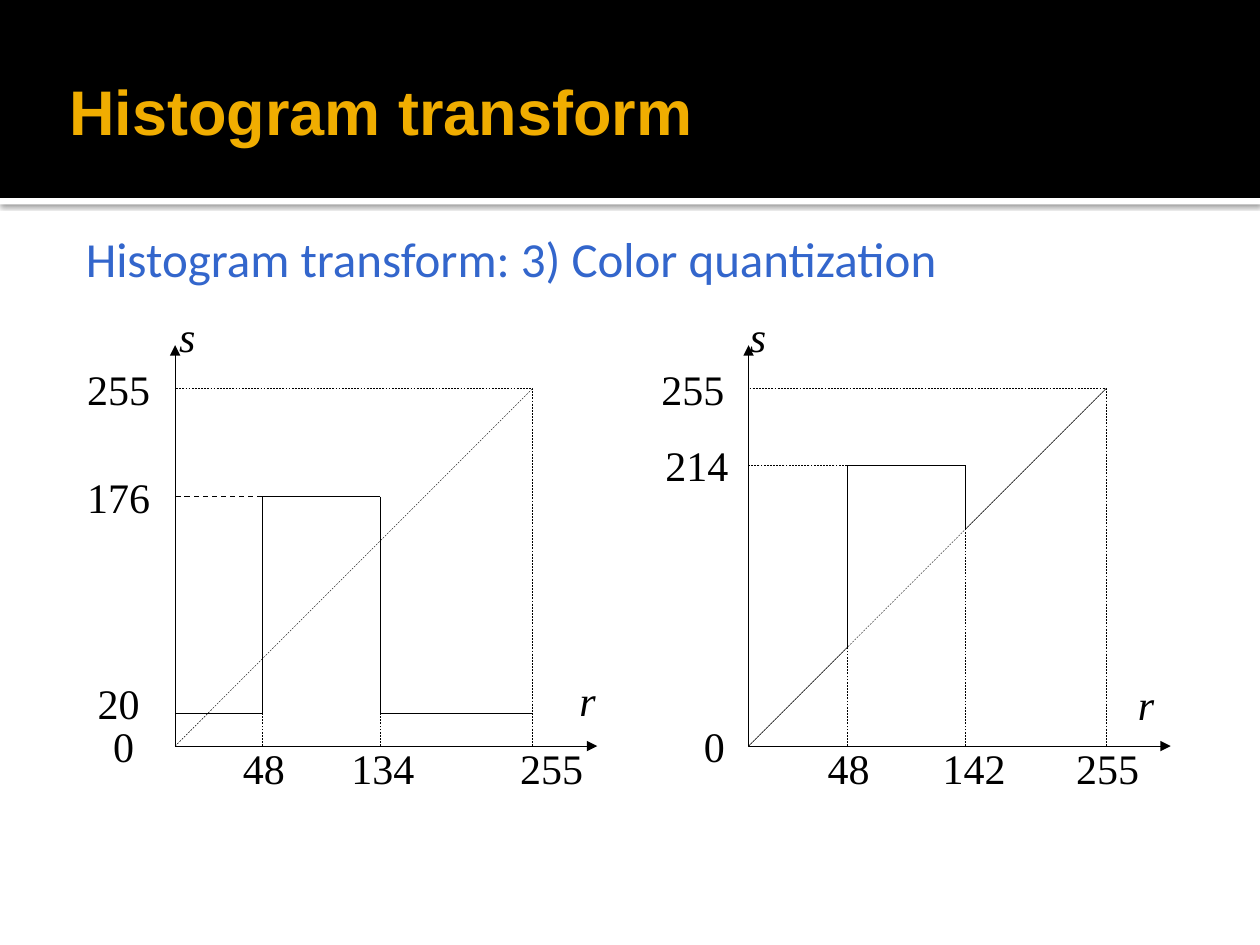
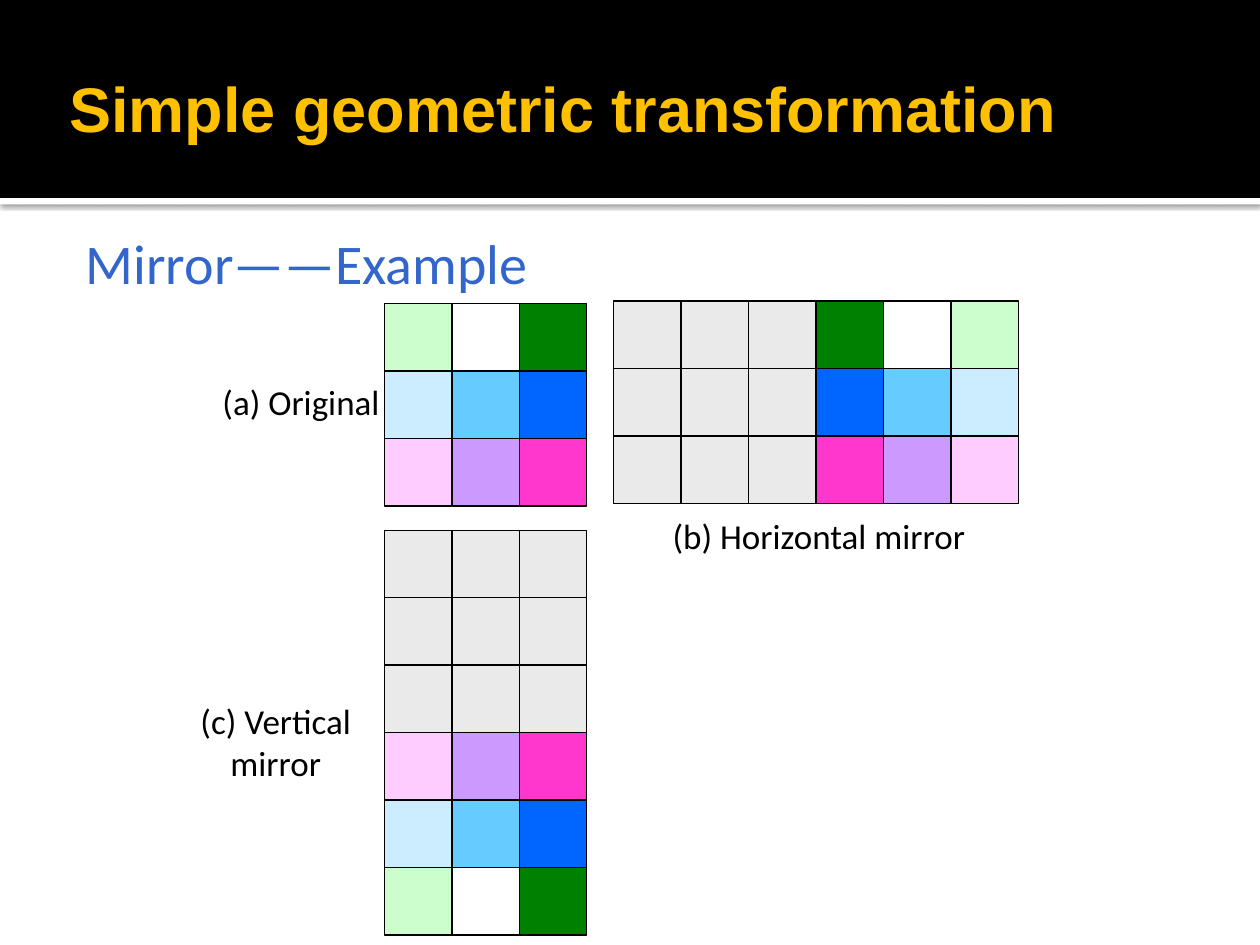
import pptx
import pptx.dml.color
import pptx.enum.dml
import pptx.enum.shapes
import pptx.enum.text
import pptx.oxml
import pptx.oxml.ns
import pptx.util

Cm = pptx.util.Cm
Pt = pptx.util.Pt
ALIGN = pptx.enum.text.PP_ALIGN
ANCHOR = pptx.enum.text.MSO_ANCHOR
RECT = pptx.enum.shapes.MSO_SHAPE.RECTANGLE
NS = pptx.oxml.ns.nsdecls("a")

HUES = {
    "black": "000000", "white": "FFFFFF", "gold": "F0AD00", "amber": "FFC000",
    "head": "3366CC", "grey": "EAEAEA", "mint": "CCFDCC", "green": "008000",
    "pale": "CCECFF", "sky": "66CCFF", "blue": "0066FF",
    "rose": "FFCCFF", "mauve": "CC99FF", "pink": "FF37CC",
}
FONTS = {
    "title": {"name": "Arial", "size": Pt(36), "bold": True},
    "head": {"name": "Calibri", "size": Pt(28)},
    "large": {"name": "Calibri", "size": Pt(32)},
    "note": {"name": "Calibri", "size": Pt(20)},
    "tick": {"name": "Times New Roman", "size": Pt(24)},
    "axis": {"name": "Times New Roman", "size": Pt(24), "italic": True},
}
SHADOW = (f'<a:outerShdw {NS} blurRad="38100" dist="10160" dir="5400000">'
          '<a:srgbClr val="000000"><a:alpha val="60000"/></a:srgbClr></a:outerShdw>')
SIDE = 7.21
BASE = 15.04
CELL = 1.36
TILES = [["mint", "white", "green"], ["pale", "sky", "blue"], ["rose", "mauve", "pink"]]
BLANK = ["grey"] * 3


def tint(name):
    """Return the named colour."""
    return pptx.dml.color.RGBColor.from_string(HUES[name])


class Deck:
    """Hold the style and the current slide."""

    def __init__(self):
        """Start an empty deck of 10 by 7.5 inches."""
        self.show = pptx.Presentation()
        self.show.slide_width, self.show.slide_height = Cm(25.4), Cm(19.05)
        self.slide = None

    def page(self, title, hue, top, height):
        """Add a slide with the shared band and a title."""
        self.slide = self.show.slides.add_slide(self.show.slide_layouts[5])
        name = self.slide.shapes.title
        rule = self.rect(0, 3.99, 25.4, 0.13, "white", None)
        rule.element.spPr.find(pptx.oxml.ns.qn("a:effectLst")).append(
            pptx.oxml.parse_xml(SHADOW))
        band = self.rect(0, 0, 25.4, 3.99, "black", None)
        for part in (rule, band):
            name.element.addprevious(part.element)
        self.place(name, 1.27, top, 22.86, height)
        self.style(name, title, "title", hue, ALIGN.LEFT, ANCHOR.MIDDLE)

    def place(self, shape, left, top, width, height):
        """Set the box of a shape."""
        box = {"left": left, "top": top, "width": width, "height": height}
        for key, size in box.items():
            setattr(shape, key, Cm(size))

    def style(self, shape, text, font, hue, align, anchor, inset=0.13):
        """Fill a shape with one formatted paragraph."""
        frame = shape.text_frame
        form = {"text": text, "word_wrap": True, "vertical_anchor": anchor,
                "auto_size": pptx.enum.text.MSO_AUTO_SIZE.NONE,
                "margin_left": Cm(inset), "margin_right": Cm(0.13),
                "margin_top": Cm(0.13), "margin_bottom": Cm(0.13)}
        for key, value in form.items():
            setattr(frame, key, value)
        line = frame.paragraphs[0]
        line.alignment = align
        for key, value in FONTS[font].items():
            setattr(line.font, key, value)
        line.font.color.rgb = tint(hue)

    def head(self, text, font):
        """Add the heading under the band."""
        box = self.slide.shapes.add_textbox(Cm(1.27), Cm(4.48), Cm(23), Cm(1.7))
        self.style(box, text, font, "head", ALIGN.LEFT, ANCHOR.TOP, 0.46)

    def label(self, text, x, y, width=1.83, font="tick", align=ALIGN.CENTER, height=1.1):
        """Add a text centred on a point."""
        box = self.slide.shapes.add_textbox(
            Cm(x - width / 2), Cm(y - height / 2), Cm(width), Cm(height))
        self.style(box, text, font, "black", align, ANCHOR.MIDDLE)

    def rect(self, left, top, width, height, fill, line=0.75, dash=False):
        """Add a rectangle, open if it has no fill."""
        shape = self.slide.shapes.add_shape(
            RECT, Cm(left), Cm(top), Cm(width), Cm(height))
        shape.shadow.inherit = False
        if fill:
            shape.fill.solid()
            shape.fill.fore_color.rgb = tint(fill)
        else:
            shape.fill.background()
        if line:
            self.pen(shape.line, line, dash)
        else:
            shape.line.fill.background()
        return shape

    def pen(self, line, width, dash):
        """Format a black line."""
        line.color.rgb = tint("black")
        line.width = Pt(width)
        if dash:
            line.dash_style = pptx.enum.dml.MSO_LINE.DASH

    def line(self, start, end, dash=False, arrow=False, width=0.25):
        """Add a straight line between two points."""
        link = self.slide.shapes.add_connector(
            pptx.enum.shapes.MSO_CONNECTOR.STRAIGHT, *map(Cm, (*start, *end)))
        self.pen(link.line, width, dash)
        form = link.element.spPr
        if arrow:
            form.find(pptx.oxml.ns.qn("a:ln")).append(
                pptx.oxml.parse_xml(f'<a:tailEnd {NS} type="triangle"/>'))
        form.append(pptx.oxml.parse_xml(f"<a:effectLst {NS}/>"))

    def plot(self, left, solid, dashed, ticks, names):
        """Draw a curve in axes, measured from the origin upwards."""
        def at(x, y):
            """Turn plot units into a slide point."""
            return left + x, BASE - y

        self.rect(*at(0, SIDE), SIDE, SIDE, None, 0.25, True)
        for end in ((8.51, 0), (0, 8.08)):
            self.line(at(0, 0), at(*end), arrow=True)
        self.line(at(0, 0), at(SIDE, SIDE), dash=True)
        for start, end, width in dashed:
            self.line(at(*start), at(*end), dash=True, width=width)
        for start, end in zip(solid, solid[1:]):
            self.line(at(*start), at(*end))
        for text, x, y in ticks:
            self.label(text, *at(x, y))
        for text, x, y in names:
            self.label(text, *at(x, y), width=1.4, font="axis", align=ALIGN.LEFT)

    def grid(self, left, top, rows):
        """Draw rows of square tiles."""
        for r, row in enumerate(rows):
            for c, hue in enumerate(row):
                self.rect(left + c * CELL, top + r * CELL, CELL, CELL, hue)


def main():
    """Build both slides and save them."""
    deck = Deck()

    deck.page("Histogram transform", "gold", 0.91, 2.62)
    deck.head("Histogram transform: 3) Color quantization", "head")
    deck.plot(
        3.53,
        [(0, 0.66), (1.75, 0.66), (1.75, 5.03), (4.14, 5.03), (4.14, 0.66), (SIDE, 0.66)],
        [((1.75, 0), (1.75, 0.66), 0.25), ((4.14, 0), (4.14, 0.66), 0.25),
         ((1.75, 5.03), (0, 5.03), 0.75)],
        [("48", 1.79, -0.44), ("134", 4.19, -0.44), ("255", 7.59, -0.44),
         ("0", -1.04, 0), ("20", -1.14, 0.88), ("176", -1.14, 5.02), ("255", -1.14, 7.2)],
        [("r", 8.72, 0.94), ("s", 0.65, 8.28)])
    deck.plot(
        15.09,
        [(0, 0), (1.98, 1.98), (1.98, 5.66), (4.37, 5.66), (4.37, 4.37), (SIDE, SIDE)],
        [((1.98, 0), (1.98, 1.98), 0.25), ((4.37, 0), (4.37, 4.37), 0.25),
         ((1.98, 5.66), (0, 5.66), 0.25)],
        [("48", 2.02, -0.44), ("142", 4.55, -0.44), ("255", 7.24, -0.44),
         ("0", -0.69, 0), ("214", -1.04, 5.68), ("255", -1.12, 7.2)],
        [("r", 8.42, 0.86), ("s", 0.6, 8.28)])

    deck.page("Simple geometric transformation", "amber", 0.43, 3.48)
    deck.head("Mirror——Example", "large")
    deck.grid(7.75, 6.12, TILES)
    deck.grid(12.37, 6.07, [BLANK + row[::-1] for row in TILES])
    deck.grid(7.75, 10.69, [BLANK] * 3 + TILES[::-1])
    deck.label("(a) Original", 6.07, 8.1, 3.96, "note")
    deck.label("(b) Horizontal mirror", 16.51, 10.8, 8.28, "note")
    deck.label("(c) Vertical mirror", 5.56, 14.94, 5.03, "note", height=1.88)

    deck.show.save("out.pptx")


if __name__ == "__main__":
    main()
